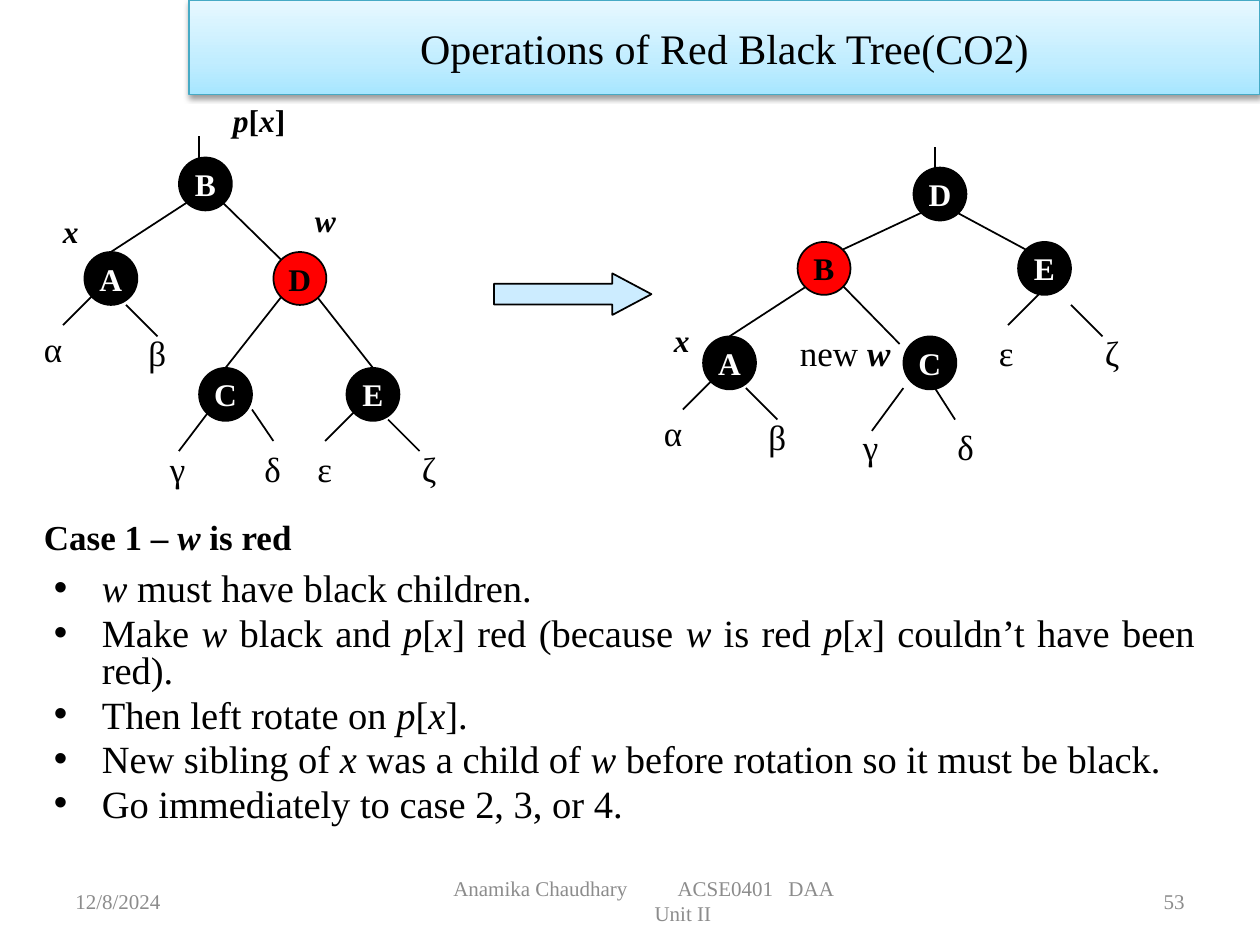
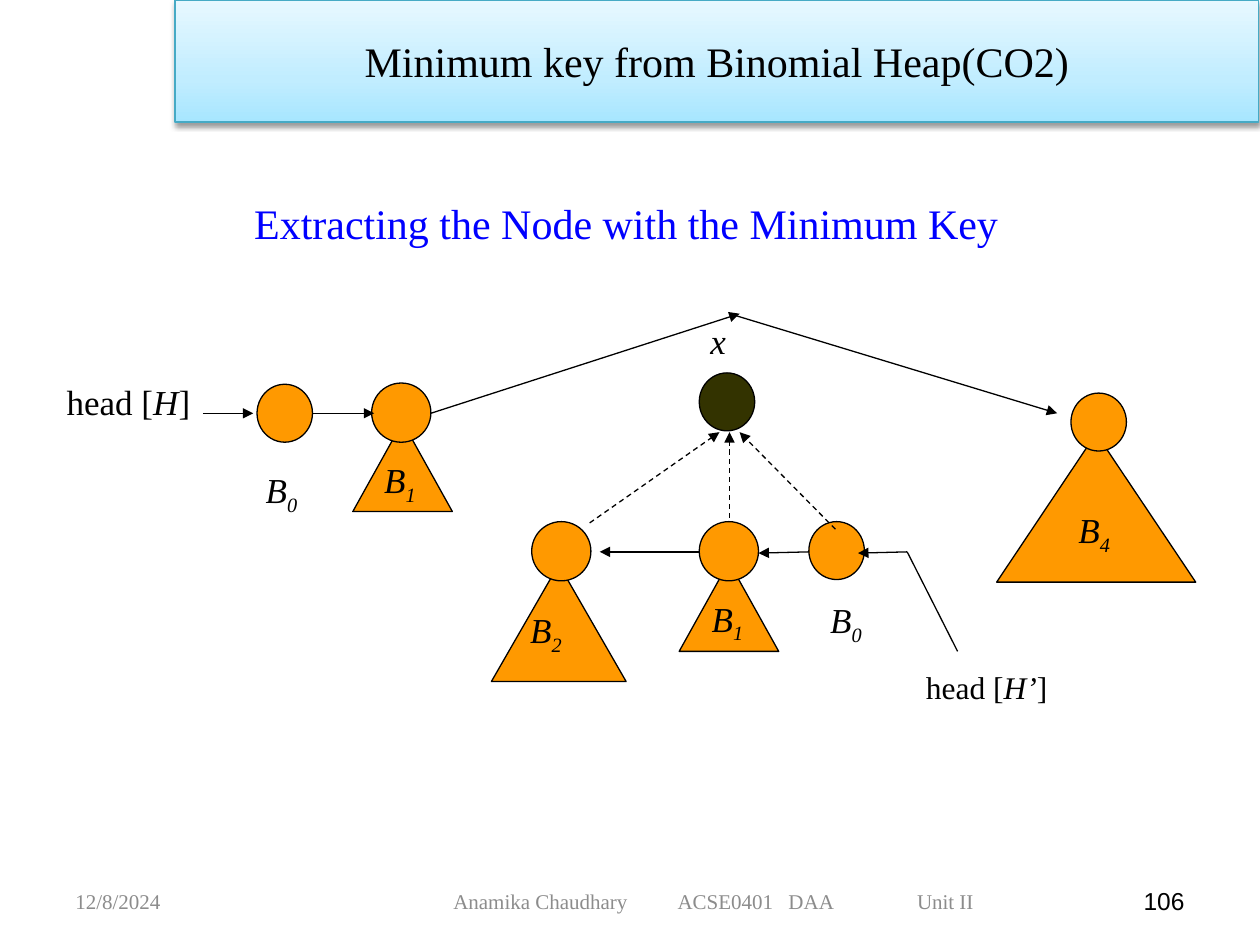
from pptx import Presentation
from pptx.dml.color import RGBColor
from pptx.enum.dml import MSO_LINE
from pptx.enum.shapes import MSO_CONNECTOR, MSO_SHAPE
from pptx.enum.text import MSO_ANCHOR, PP_ALIGN
from pptx.oxml import parse_xml
from pptx.oxml.ns import nsdecls
from pptx.oxml.xmlchemy import OxmlElement
from pptx.util import Inches, Pt

BALL = MSO_SHAPE.OVAL
CONE = MSO_SHAPE.ISOSCELES_TRIANGLE
ARROW = MSO_SHAPE.RIGHT_ARROW
RECT = MSO_SHAPE.RECTANGLE
LINE = MSO_CONNECTOR.STRAIGHT
DASH = MSO_LINE.DASH
MID, TOP = MSO_ANCHOR.MIDDLE, MSO_ANCHOR.TOP
LEFT, CENTER, RIGHT, JUST = PP_ALIGN.LEFT, PP_ALIGN.CENTER, PP_ALIGN.RIGHT, PP_ALIGN.JUSTIFY

BLACK, WHITE, RED = "000000", "FFFFFF", "FF0000"
GRAY, BLUE, SKY = "8C8C8C", "0000FF", "CCECFF"
ORANGE, OLIVE, TEAL = "FF9900", "333300", "46AAC5"
STOPS = [(0, "A7E6FF"), (35, "C1EDFF"), (100, "E7F8FF")]
FONT = "Times New Roman"
NODE = 0.42
SPOTS = {"t": (0.21, 0), "l": (0.06, 0.06), "r": (0.36, 0.06)}


def color(code):
    return RGBColor.from_string(code)


def node(tag, **attrs):
    item = OxmlElement(tag)
    for key, value in attrs.items():
        item.set(key, str(value))
    return item


class Deck:
    def __init__(self):
        self.prs = Presentation()
        self.prs.slide_width = Inches(10)
        self.prs.slide_height = Inches(7.5)
        self.slide = None

    def page(self):
        self.slide = self.prs.slides.add_slide(self.prs.slide_layouts[6])

    def run(self, para, text, size, ink=BLACK, bold=False, slant=False, font=FONT):
        run = para.add_run()
        run.text = text
        face = run.font
        face.name, face.size = font, Pt(size)
        face.bold, face.italic = bold, slant
        face.color.rgb = color(ink)
        return run

    def runs(self, para, text, size, bold=False, **look):
        for i, part in enumerate(text.split("*")):
            if part:
                slant = i % 2 == 1
                heavy = slant if bold == "slant" else bold
                self.run(para, part, size, bold=heavy, slant=slant, **look)

    def box(self, x, y, w, h, anchor=TOP):
        box = self.slide.shapes.add_textbox(Inches(x), Inches(y), Inches(w), Inches(h))
        frame = box.text_frame
        frame.word_wrap = True
        frame.vertical_anchor = anchor
        return frame

    def text(self, text, x, y, w=0.4, h=0.43, size=20, align=LEFT, anchor=TOP, **look):
        para = self.box(x, y, w, h, anchor).paragraphs[0]
        para.alignment = align
        self.runs(para, text, size, **look)
        return para

    def order(self, digit, x, y):
        para = self.text("*B*", x, y, 0.55)
        low = self.run(para, digit, 20, slant=True)
        low.font._element.set("baseline", "-25000")

    def bullets(self, items, x, y, w, h, size):
        frame = self.box(x, y, w, h)
        for i, item in enumerate(items):
            para = frame.add_paragraph() if i else frame.paragraphs[0]
            para.alignment = JUST
            para.line_spacing = 0.8
            if i:
                para.space_before = Pt(size * 0.2)
            props = para._p.get_or_add_pPr()
            props.set("marL", str(Inches(0.38)))
            props.set("indent", str(-Inches(0.38)))
            props.append(node("a:buFont", typeface="Arial"))
            props.append(node("a:buChar", char="•"))
            self.runs(para, item, size)

    def shape(self, kind, x, y, w, h, fill=ORANGE, edge=BLACK, width=0.75):
        shape = self.slide.shapes.add_shape(kind, Inches(x), Inches(y), Inches(w), Inches(h))
        shape.shadow.inherit = False
        shape.fill.solid()
        shape.fill.fore_color.rgb = color(fill)
        shape.line.color.rgb = color(edge)
        shape.line.width = Pt(width)
        return shape

    def label(self, shape, text, size, wrap=True, **look):
        frame = shape.text_frame
        frame.word_wrap = wrap
        frame.vertical_anchor = MID
        para = frame.paragraphs[0]
        para.alignment = CENTER
        self.run(para, text, size, **look)

    def line(self, x1, y1, x2, y2, width=0.75, tip=False, dash=False):
        line = self.slide.shapes.add_connector(
            LINE, Inches(x1), Inches(y1), Inches(x2), Inches(y2))
        line.line.color.rgb = color(BLACK)
        line.line.width = Pt(width)
        if dash:
            line.line.dash_style = DASH
        if tip:
            line.line._get_or_add_ln().append(node("a:tailEnd", type="triangle"))
        line._element.spPr.append(node("a:effectLst"))

    def band(self, text, x, w, h):
        band = self.shape(RECT, x, 0, w, h, edge=TEAL)
        props = band._element.spPr
        stops = "".join(
            f'<a:gs pos="{pos * 1000}"><a:srgbClr val="{code}"/></a:gs>' for pos, code in STOPS)
        props.replace(props.find("{*}solidFill"), parse_xml(
            f'<a:gradFill {nsdecls("a")} rotWithShape="1"><a:gsLst>{stops}</a:gsLst>'
            '<a:lin ang="16200000" scaled="0"/></a:gradFill>'))
        props.find("{*}effectLst").append(parse_xml(
            f'<a:outerShdw {nsdecls("a")} blurRad="40000" dist="20000" dir="5400000" '
            'rotWithShape="0"><a:srgbClr val="000000"><a:alpha val="38000"/>'
            '</a:srgbClr></a:outerShdw>'))
        self.label(band, text, 24)

    def footer(self, number, split=False, **look):
        row = {"y": 6.95, "h": 0.4, "anchor": MID}
        self.text("12/8/2024", 0.5, w=2.33, size=12, ink=GRAY, **row)
        self.text(number, 7.17, w=2.33, align=RIGHT, **look, **row)
        frame = self.box(3.5, 6.95, 3.84 if split else 4.5, 0.4, MID)
        para = frame.paragraphs[0]
        tabs = node("a:tabLst")
        for stop in (1.78, 2.66, 3.68):
            tabs.append(node("a:tab", pos=Inches(stop), algn="l"))
        para._p.get_or_add_pPr().append(tabs)
        self.run(para, "Anamika Chaudhary\tACSE0401\tDAA", 12, GRAY)
        if split:
            para = frame.add_paragraph()
            para.alignment = CENTER
            self.run(para, "Unit II", 12, GRAY)
        else:
            self.run(para, "\tUnit II", 12, GRAY)

    def tree(self, nodes, edges, legs, leaves, red):
        for name, (x, y) in nodes.items():
            hot = name == red
            ball = self.shape(BALL, x, y, NODE, NODE, RED if hot else BLACK, width=1)
            self.label(ball, name, 18, False, ink=BLACK if hot else WHITE, bold=True)
        for up, down, spot in edges:
            (x1, y1), (x2, y2) = nodes[up], nodes[down]
            dx, dy = SPOTS[spot]
            self.line(x1 + (0.06 if x2 < x1 else 0.35), y1 + 0.36, x2 + dx, y2 + dy, 1)
        for leg in legs:
            self.line(*leg, 1)
        for name, (x, y) in zip("αβγδεζ", leaves):
            self.text(name, x, y)


def rotation(deck):
    deck.page()
    deck.text("Case 1 – *w* is red", 0.25, 3.87, 9.5, 0.77, anchor=MID, bold=True)
    deck.bullets([
        "*w *must have black children.",
        "Make *w *black and *p*[*x*] red (because *w* is red *p*[*x*] couldn’t have been red).",
        "Then left rotate on *p*[*x*].",
        "New sibling of *x *was a child of *w *before rotation so it must be black.",
        "Go immediately to case 2, 3, or 4.",
    ], 0.33, 4.5, 9.25, 2.42, 22)
    deck.tree(
        {"B": (1.42, 1.25), "A": (0.67, 2), "D": (2.17, 2), "C": (1.58, 2.92), "E": (2.75, 2.92)},
        ["BAt", "BDl", "DCt", "DEt"],
        [(1.58, 1.08, 1.58, 1.25), (0.75, 2.33, 0.5, 2.58), (1, 2.42, 1.25, 2.67),
         (1.67, 3.25, 1.42, 3.58), (2, 3.25, 2.17, 3.5), (2.83, 3.25, 2.58, 3.5),
         (3.08, 3.33, 3.33, 3.58)],
        [(0.25, 2.55), (1.08, 2.58), (1.25, 3.5), (2, 3.5), (2.42, 3.5), (3.25, 3.5)], "D")
    deck.tree(
        {"D": (7.25, 1.33), "B": (6.33, 1.92), "E": (8.08, 1.92), "A": (5.58, 2.67),
         "C": (7.17, 2.67)},
        ["DBr", "DEl", "BAt"],
        [(7.42, 1.17, 7.42, 1.33), (6.69, 2.27, 7.14, 2.73), (5.67, 3, 5.42, 3.25),
         (5.92, 3.08, 6.17, 3.33), (7.17, 3.08, 6.92, 3.42), (7.42, 3.08, 7.58, 3.33),
         (8.25, 2.33, 8, 2.58), (8.5, 2.42, 8.75, 2.67)],
        [(5.17, 3.22), (6, 3.25), (6.75, 3.33), (7.5, 3.33), (7.83, 2.58), (8.67, 2.58)], "B")
    arrow = deck.shape(ARROW, 3.92, 2.17, 1.25, 0.33, SKY, width=1)
    arrow.adjustments[1] = 0.94
    for name, x, y, w in [("*x*", 0.4, 1.63, 0.37), ("*w*", 2.4, 1.55, 0.42),
                          ("*x*", 5.25, 2.5, 0.37), ("*p*[*x*]", 1.75, 0.75, 0.76)]:
        deck.text(name, x, y, w, 0.5, 18, bold=True)
    deck.text("new *w*", 6.25, 2.58, 1, bold="slant")
    deck.footer("53", True, size=12, ink=GRAY)
    deck.band("Operations of Red Black Tree(CO2)", 1.5, 8.5, 0.75)


def heap(deck):
    deck.page()
    deck.text("Extracting the Node with the Minimum Key", 0.26, 1.14, 9.42, 1.25, 24,
              CENTER, MID, ink=BLUE)
    for x, y, w, h in [(2.8, 3.35, 0.79, 0.71), (3.9, 4.48, 1.07, 0.93),
                       (5.39, 4.46, 0.79, 0.71), (7.91, 3.44, 1.58, 1.18)]:
        deck.shape(CONE, x, y, w, h)
    for x, y in [(2.95, 3.04), (4.22, 4.14), (5.55, 4.14)]:
        deck.shape(BALL, x, y, 0.47, 0.47)
    for x, y, fill in [(2.04, 3.05, ORANGE), (6.42, 4.14, ORANGE),
                       (8.5, 3.12, ORANGE), (5.55, 2.96, OLIVE)]:
        deck.shape(BALL, x, y, 0.44, 0.46, fill)
    for ends in [(1.61, 3.28, 2.01, 3.28), (2.48, 3.28, 2.97, 3.28), (3.42, 3.28, 5.87, 2.49),
                 (5.79, 2.49, 8.39, 3.28), (5.55, 4.38, 4.76, 4.38), (6.42, 4.38, 6.02, 4.39),
                 (7.2, 4.38, 6.81, 4.39)]:
        deck.line(*ends, tip=True)
    for ends in [(4.68, 4.15, 5.71, 3.43), (5.79, 4.11, 5.79, 3.43), (6.63, 4.2, 5.87, 3.43)]:
        deck.line(*ends, tip=True, dash=True)
    deck.line(7.2, 4.38, 7.6, 5.17)
    for digit, x, y in [("0", 2.01, 3.67), ("1", 2.95, 3.59), ("2", 4.11, 4.78),
                        ("1", 5.55, 4.69), ("0", 6.49, 4.7), ("4", 8.46, 3.99)]:
        deck.order(digit, x, y)
    deck.text("head [*H*]", 0.43, 2.97, 1.25)
    deck.text("head [*H’*]", 7.25, 5.25, 1.25, 0.4, 18)
    deck.text("*x*", 5.54, 2.49)
    deck.footer("106", size=14, font="Arial")
    deck.band("Minimum key from Binomial Heap(CO2)", 1.39, 8.6, 0.97)


def main():
    deck = Deck()
    rotation(deck)
    heap(deck)
    deck.prs.save("out.pptx")


if __name__ == "__main__":
    main()
